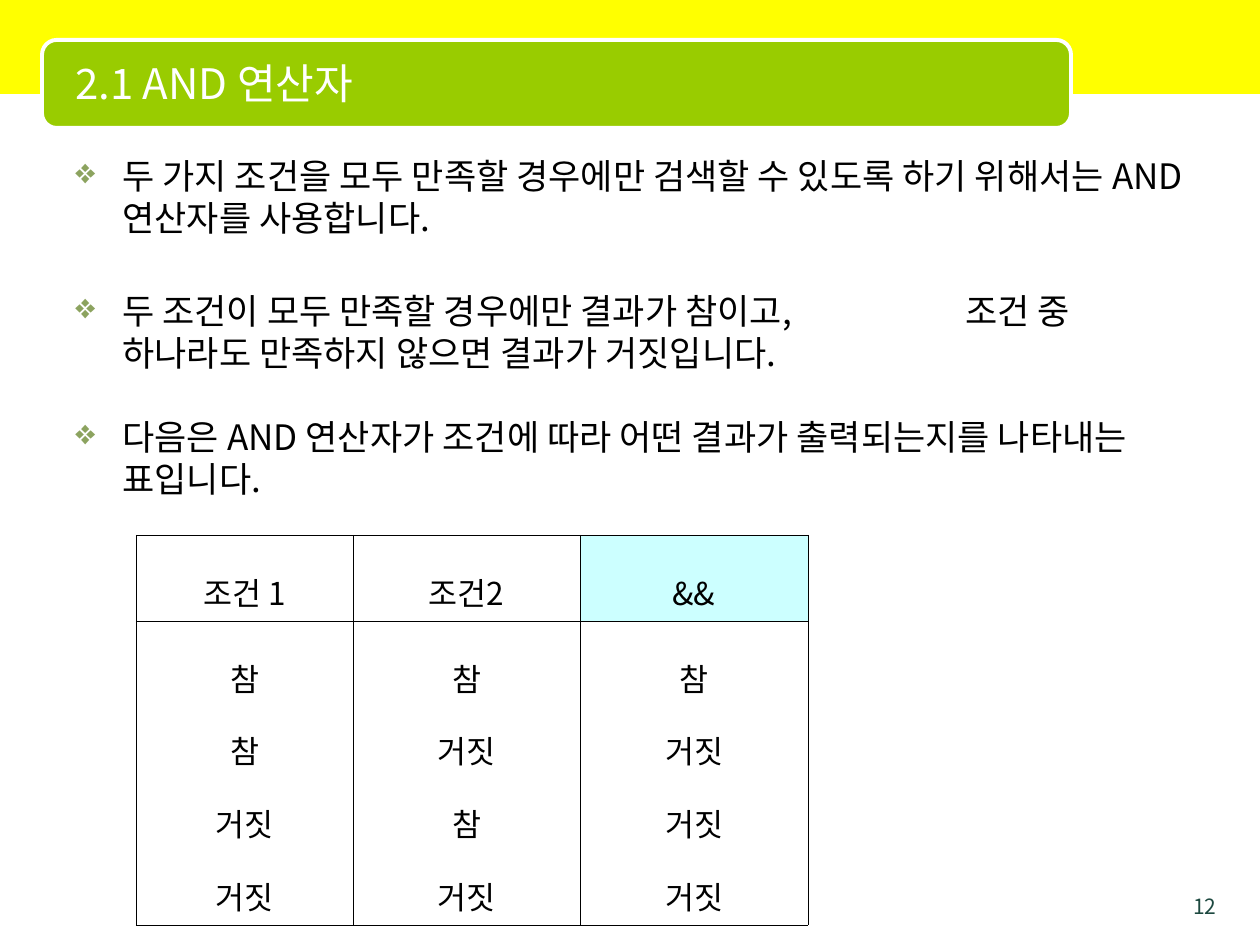
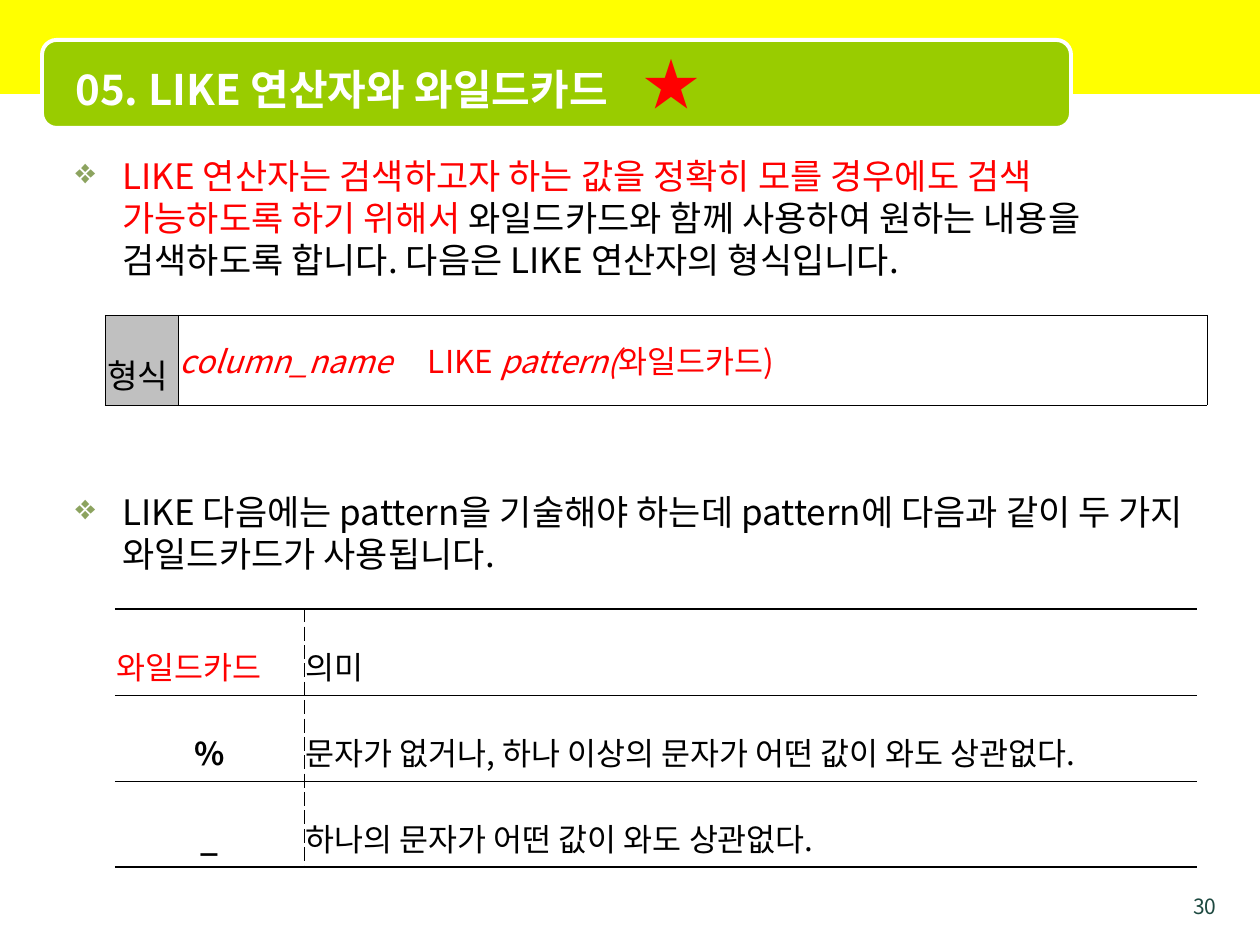
from lxml.etree import SubElement
from pptx import Presentation
from pptx.dml.color import RGBColor
from pptx.enum.shapes import MSO_SHAPE as Preset
from pptx.enum.text import MSO_ANCHOR as Anchor, PP_ALIGN as Align
from pptx.oxml.ns import qn
from pptx.util import Emu, Pt

FONT, BULLET_FONT = "Noto Sans CJK KR", "OpenSymbol"
BLACK, WHITE, RED = "000000", "FFFFFF", "FF0000"
YELLOW, GREEN, BULLET = "FFFF00", "99CC00", "8CA35F"
CYAN, GRAY, FOOTER = "CCFFFF", "C0C0C0", "1D4940"
HAIRLINE, DASHED, THICK = (0.11, "solid"), (0.28, "dash"), (0.96, "solid")
GRID = dict.fromkeys("LRTB", HAIRLINE)


def px(length):
    return Emu(round(length * 914400 / 126))


def rgb(color):
    return RGBColor.from_string(color)


def write(paragraph, text, size=18, color=BLACK, bold=False, italic=False):
    run = paragraph.add_run()
    run.text = text
    font = run.font
    font.name, font.size, font.bold, font.italic = FONT, Pt(size), bold, italic
    font.color.rgb = rgb(color)
    run._r.rPr.set("kern", "0")
    SubElement(run._r.rPr, qn("a:ea"), typeface=FONT)


class Deck:
    def __init__(self):
        self.presentation = Presentation()
        self.presentation.slide_width = px(1260)
        self.presentation.slide_height = px(945)
        self.slide = None

    def start_slide(self, number, title, tab=None):
        layout = self.presentation.slide_layouts[6]
        self.slide = self.presentation.slides.add_slide(layout)
        self.band(Preset.RECTANGLE, (0, 0, 1261, 94), YELLOW)
        title_band = self.band(Preset.ROUNDED_RECTANGLE, (42, 40, 1029, 88), GREEN)
        title_band.line.color.rgb = rgb(WHITE)
        title_band.line.width = Pt(2.25)
        footer = self.text_box((1166, 887, 63, 26))
        self.paragraph(footer, [(number, {})], align=Align.RIGHT, size=12, color=FOOTER)
        heading = self.text_box((63, 44, 998, 78))
        heading.vertical_anchor = Anchor.MIDDLE
        self.paragraph(heading, title, tab=tab, size=24, color=WHITE)

    def band(self, preset, box, color):
        shape = self.slide.shapes.add_shape(preset, *map(px, box))
        shape.shadow.inherit = False
        shape.fill.solid()
        shape.fill.fore_color.rgb = rgb(color)
        shape.line.fill.background()
        return shape

    def text_box(self, box):
        frame = self.slide.shapes.add_textbox(*map(px, box)).text_frame
        frame.word_wrap = True
        return frame

    def paragraph(self, frame, runs, align=Align.LEFT, spacing=None, before=0,
                  bullet=False, tab=None, **style):
        first = frame.paragraphs[0]
        paragraph = frame.add_paragraph() if first.runs else first
        paragraph.alignment = align
        paragraph.line_spacing = spacing
        paragraph.space_before = Pt(before)
        properties = paragraph._p.get_or_add_pPr()
        if bullet:
            properties.set("marL", str(px(47)))
            properties.set("indent", str(px(-47)))
            bullet_color = SubElement(properties, qn("a:buClr"))
            SubElement(bullet_color, qn("a:srgbClr"), val=BULLET)
            SubElement(properties, qn("a:buFont"), typeface=BULLET_FONT)
            SubElement(properties, qn("a:buChar"), char="❖")
        if tab:
            stops = SubElement(properties, qn("a:tabLst"))
            SubElement(stops, qn("a:tab"), pos=str(px(tab)), algn="l")
        for text, changes in runs:
            write(paragraph, text, **{**style, **changes})

    def bullet(self, frame, *runs, before=0, tab=None):
        self.paragraph(frame, runs, spacing=Pt(24), before=before, bullet=True,
                       tab=tab, size=20)

    def table(self, left, top, widths, heights):
        box = (left, top, sum(widths), sum(heights))
        table = self.slide.shapes.add_table(
            len(heights), len(widths), *map(px, box)).table
        table.first_row = table.horz_banding = False
        for column, width in zip(table.columns, widths):
            column.width = px(width)
        for row, height in zip(table.rows, heights):
            row.height = px(height)
        return table

    def cell(self, cell, paragraphs, fill=None, borders=GRID, spacing=1.6, **style):
        cell.vertical_anchor = Anchor.MIDDLE
        cell.margin_left = cell.margin_right = px(2)
        cell.margin_top = cell.margin_bottom = px(6)
        properties = cell._tc.get_or_add_tcPr()
        for side in "LRTB":
            width, dash = borders.get(side, (0, None))
            line = SubElement(properties, qn(f"a:ln{side}"), w=str(Pt(width)))
            if dash:
                paint = SubElement(line, qn("a:solidFill"))
                SubElement(paint, qn("a:srgbClr"), val=BLACK)
                SubElement(line, qn("a:prstDash"), val=dash)
            else:
                SubElement(line, qn("a:noFill"))
        if fill:
            cell.fill.solid()
            cell.fill.fore_color.rgb = rgb(fill)
        else:
            cell.fill.background()
        for runs in paragraphs:
            self.paragraph(cell.text_frame, runs, spacing=spacing, **style)


def add_and_slide(deck):
    deck.start_slide("12", [("2.1 AND 연산자", {})])
    intro = deck.text_box((63, 148, 1144, 702))
    deck.bullet(intro, ("두 가지 조건을 모두 만족할 경우에만 검색할 수 있도록 하기 위해서는 "
                        "AND 연산자를 사용합니다.", {}))
    rules = deck.text_box((63, 283, 1113, 576))
    deck.bullet(rules, ("두 조건이 모두 만족할 경우에만 결과가 참이고,\t 조건 중 "
                        "하나라도 만족하지 않으면 결과가 거짓입니다.", {}), tab=882)
    deck.bullet(rules, ("다음은 AND 연산자가 조건에 따라 어떤 결과가 출력되는지를 나타내는 "
                        "표입니다.", {}), before=24)

    truth_table = deck.table(136, 535, (217, 227, 228), (86, 304))
    columns = (
        ("조건 1", ("참", "참", "거짓", "거짓"), None),
        ("조건2", ("참", "거짓", "참", "거짓"), None),
        ("&&", ("참", "거짓", "거짓", "거짓"), CYAN),
    )
    for index, (header, values, fill) in enumerate(columns):
        deck.cell(truth_table.cell(0, index), [[(header, {})]], fill, align=Align.CENTER)
        deck.cell(truth_table.cell(1, index), [[(value, {})] for value in values],
                  align=Align.CENTER)


def add_like_slide(deck):
    deck.start_slide("30", [("05. LIKE 연산자와 와일드카드\t", {"bold": True}),
                            ("★", {"size": 32, "color": RED})], tab=568)
    body = deck.text_box((63, 148, 1134, 774))
    deck.bullet(body,
                ("LIKE 연산자는 검색하고자 하는 값을 정확히 모를 경우에도 검색 "
                 "가능하도록 하기 위해서 ", {"color": RED}),
                ("와일드카드와 함께 사용하여 원하는 내용을 검색하도록 합니다. "
                 "다음은 LIKE 연산자의 형식입니다.", {}))
    deck.bullet(body, ("LIKE 다음에는 pattern을 기술해야 하는데 pattern에 다음과 같이 두 "
                       "가지 와일드카드가 사용됩니다.", {}), before=120)

    syntax_table = deck.table(105, 315, (73, 1029), (90,))
    deck.cell(syntax_table.cell(0, 0), [[("형식", {})]], GRAY, size=19)
    syntax = [("column_name\t", {"italic": True}), ("LIKE ", {}),
              ("pattern(", {"italic": True}), ("와일드카드)", {})]
    deck.cell(syntax_table.cell(0, 1), [syntax], spacing=None, tab=248, color=RED)

    wildcards = (
        ("와일드카드", "의미", {"color": RED}),
        ("%", "문자가 없거나, 하나 이상의 문자가 어떤 값이 와도 상관없다.",
         {"bold": True, "align": Align.CENTER}),
        ("_", "하나의 문자가 어떤 값이 와도 상관없다.",
         {"bold": True, "align": Align.CENTER}),
    )
    wildcard_table = deck.table(115, 609, (189, 893), (86,) * len(wildcards))
    last = len(wildcards) - 1
    for index, (symbol, meaning, style) in enumerate(wildcards):
        edges = {"T": HAIRLINE if index else THICK,
                 "B": THICK if index == last else HAIRLINE}
        deck.cell(wildcard_table.cell(index, 0), [[(symbol, {})]], WHITE,
                  {**edges, "R": DASHED}, **style)
        deck.cell(wildcard_table.cell(index, 1), [[(meaning, {})]], WHITE,
                  {**edges, "L": DASHED})


def main():
    deck = Deck()
    add_and_slide(deck)
    add_like_slide(deck)
    deck.presentation.save("out.pptx")


if __name__ == "__main__":
    main()
